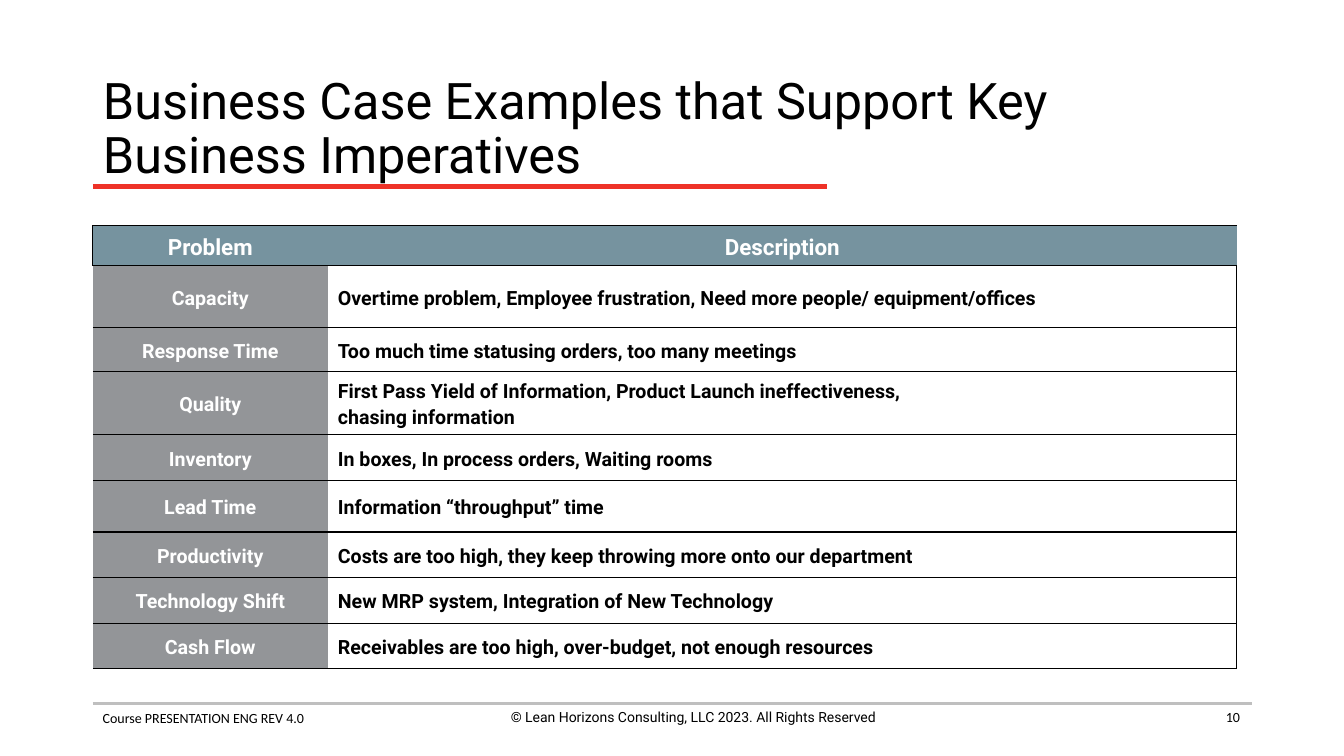
from dataclasses import dataclass

from lxml.etree import SubElement
from pptx import Presentation
from pptx.dml.color import RGBColor
from pptx.enum.shapes import MSO_CONNECTOR
from pptx.enum.text import MSO_ANCHOR, MSO_AUTO_SIZE, PP_ALIGN
from pptx.oxml.ns import qn
from pptx.slide import Slide
from pptx.table import _Cell
from pptx.text.text import TextFrame
from pptx.util import Cm, Pt

BLACK = RGBColor(0x00, 0x00, 0x00)
WHITE = RGBColor(0xFF, 0xFF, 0xFF)
RED = RGBColor(0xEE, 0x32, 0x28)
LIGHT_GRAY = RGBColor(0xBF, 0xBF, 0xBF)
SLATE = RGBColor(0x76, 0x93, 0x9F)
GRAY = RGBColor(0x93, 0x95, 0x98)
LEFT = 2.34


@dataclass(frozen=True)
class Rule:
    y: float
    right: float
    width: float
    color: RGBColor


@dataclass(frozen=True)
class Footer:
    text: str
    left: float
    top: float
    width: float
    font: str
    align: PP_ALIGN


@dataclass(frozen=True)
class BusinessCase:
    problem: str
    description: str
    height: float


RULES = [
    Rule(17.73, 31.55, 2, LIGHT_GRAY),
    Rule(4.7, 20.83, 3, RED),
]
FOOTERS = [
    Footer("Course PRESENTATION ENG REV 4.0", LEFT, 17.75, 11.58, "Calibri", PP_ALIGN.LEFT),
    Footer("© Lean Horizons Consulting, LLC 2023. All Rights Reserved",
           11.68, 17.73, 11.58, "Roboto", PP_ALIGN.CENTER),
    Footer("10", 23.88, 17.73, 7.62, "Calibri", PP_ALIGN.RIGHT),
]
HEADER = BusinessCase("Problem", "Description", 0.97)
CASES = [
    BusinessCase("Capacity", "Overtime problem, Employee frustration, "
                 "Need more people/ equipment/offices", 1.56),
    BusinessCase("Response Time", "Too much time statusing orders, too many meetings", 1.1),
    BusinessCase("Quality", "First Pass Yield of Information, Product Launch "
                 "ineffectiveness,\vchasing information", 1.56),
    BusinessCase("Inventory", "In boxes, In process orders, Waiting rooms", 1.15),
    BusinessCase("Lead Time", "Information “throughput” time", 1.3),
    BusinessCase("Productivity", "Costs are too high, they keep throwing more "
                 "onto our department", 1.15),
    BusinessCase("Technology Shift", "New MRP system, Integration of New Technology", 1.15),
    BusinessCase("Cash Flow", "Receivables are too high, over-budget, "
                 "not enough resources", 1.15),
]


def write(tf: TextFrame, text: str, size: float, font: str, color: RGBColor,
          align: PP_ALIGN, spacing: float, bold: bool = False) -> None:
    tf.text = text
    p = tf.paragraphs[0]
    p.alignment = align
    p.line_spacing = spacing
    for r in p.runs:
        r.font.size = Pt(size)
        r.font.name = font
        r.font.bold = bold
        r.font.color.rgb = color


def add_title(slide: Slide) -> None:
    title = slide.shapes.title
    title.left, title.top, title.width, title.height = Cm(LEFT), Cm(1.88), Cm(29.21), Cm(2.8)
    tf = title.text_frame
    tf.word_wrap = True
    tf.auto_size = MSO_AUTO_SIZE.NONE
    tf.vertical_anchor = MSO_ANCHOR.MIDDLE
    write(tf, "Business Case Examples that Support Key Business Imperatives",
          36, "Roboto", BLACK, PP_ALIGN.LEFT, 0.9)


def add_rule(slide: Slide, rule: Rule) -> None:
    line = slide.shapes.add_connector(
        MSO_CONNECTOR.STRAIGHT, Cm(LEFT), Cm(rule.y), Cm(rule.right), Cm(rule.y))
    line.line.color.rgb = rule.color
    line.line.width = Pt(rule.width)
    SubElement(line._element.spPr, qn("a:effectLst"))


def add_footer(slide: Slide, footer: Footer) -> None:
    box = slide.shapes.add_textbox(
        Cm(footer.left), Cm(footer.top), Cm(footer.width), Cm(0.69))
    box.text_frame.word_wrap = True
    write(box.text_frame, footer.text, 10, footer.font, BLACK, footer.align, 1)


def set_borders(cell: _Cell, sides: str) -> None:
    """Draw a thin black line on the given sides (of L, R, T, B) and none elsewhere."""
    tc_pr = cell._tc.get_or_add_tcPr()
    for side in "LRTB":
        ln = SubElement(tc_pr, qn(f"a:ln{side}"), w=str(Pt(1)))
        if side in sides:
            fill = SubElement(ln, qn("a:solidFill"))
            SubElement(fill, qn("a:srgbClr"), val=str(BLACK))
        else:
            SubElement(ln, qn("a:noFill"))


def format_cell(cell: _Cell, text: str, size: float, color: RGBColor, align: PP_ALIGN,
                sides: str, fill: RGBColor | None = None) -> None:
    cell.vertical_anchor = MSO_ANCHOR.MIDDLE
    set_borders(cell, sides)
    if fill is None:
        cell.fill.background()
    else:
        cell.fill.solid()
        cell.fill.fore_color.rgb = fill
    write(cell.text_frame, text, size, "Roboto", color, align, 1.15, bold=True)


def add_case_table(slide: Slide) -> None:
    rows = [HEADER, *CASES]
    table = slide.shapes.add_table(
        len(rows), 2, Cm(LEFT), Cm(5.69), Cm(28.83),
        Cm(sum(row.height for row in rows))).table
    table.horz_banding = False
    table.columns[0].width = Cm(5.92)
    table.columns[1].width = Cm(22.91)
    for i, row in enumerate(rows):
        table.rows[i].height = Cm(row.height)
        problem, description = table.cell(i, 0), table.cell(i, 1)
        if row is HEADER:
            format_cell(problem, row.problem, 16, WHITE, PP_ALIGN.CENTER, "LTB", SLATE)
            format_cell(description, row.description, 16, WHITE, PP_ALIGN.CENTER, "TB", SLATE)
        else:
            format_cell(problem, row.problem, 14, WHITE, PP_ALIGN.CENTER, "TB", GRAY)
            format_cell(description, row.description, 14, BLACK, PP_ALIGN.LEFT, "RTB")


def main() -> None:
    prs = Presentation()
    prs.slide_width, prs.slide_height = Cm(33.87), Cm(19.05)
    slide = prs.slides.add_slide(prs.slide_layouts[5])
    for rule in RULES:
        add_rule(slide, rule)
    add_title(slide)
    add_case_table(slide)
    for footer in FOOTERS:
        add_footer(slide, footer)
    prs.save("out.pptx")


if __name__ == "__main__":
    main()
